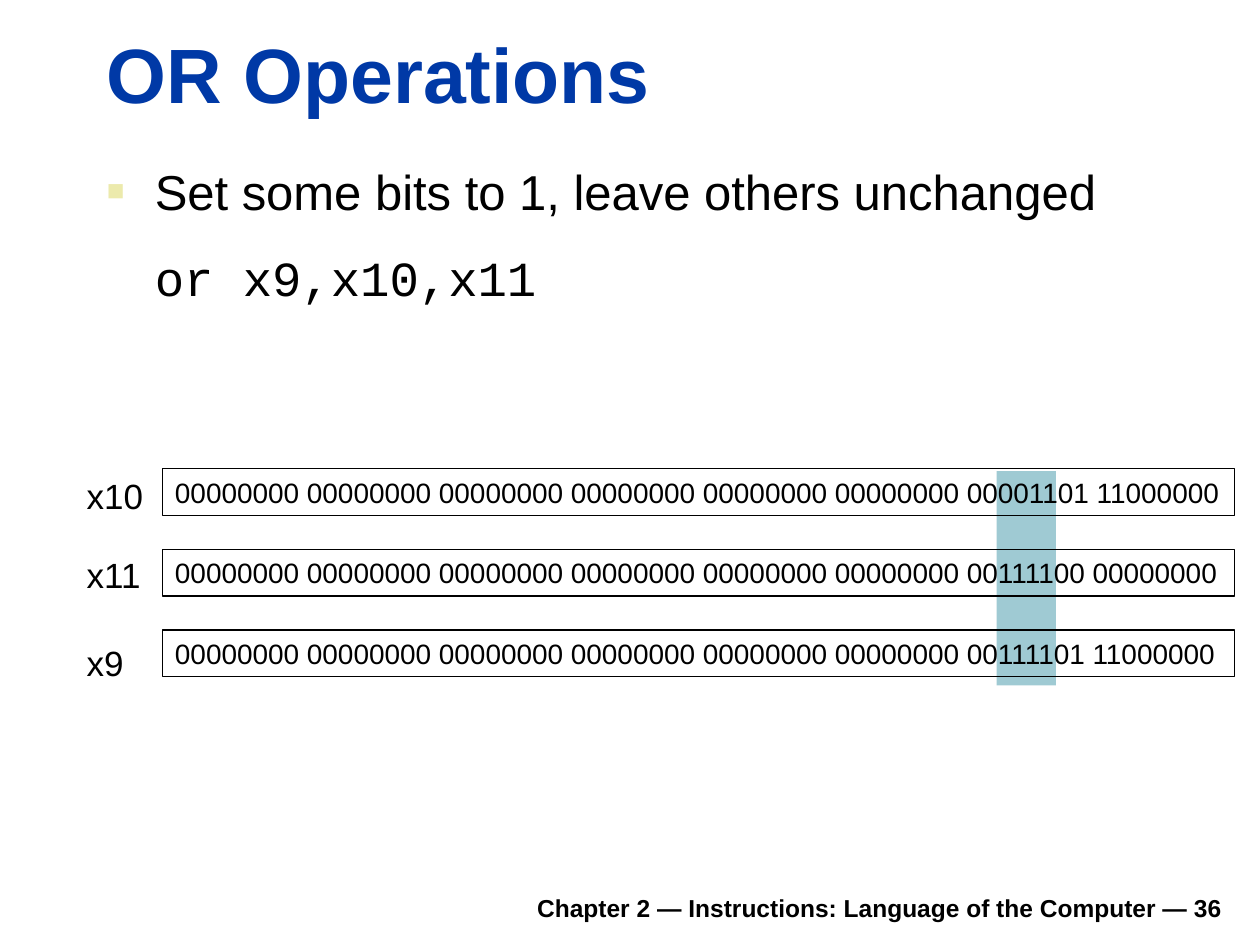
from dataclasses import dataclass

from lxml import etree
from pptx import Presentation
from pptx import util as u
from pptx.dml.color import RGBColor
from pptx.enum import shapes, text
from pptx.oxml.ns import qn


@dataclass(frozen=True)
class Theme:
    ink: str = "000000"
    blue: str = "0039A6"
    teal: str = "9FCAD3"
    sand: str = "ECEAAC"
    sans: str = "Arial"
    mono: str = "Courier New"
    head: int = 44
    body: int = 28
    label: int = 20
    bits: int = 16
    foot: int = 14


def put(para, words, size, color, face, bold=False, align=None, before=0):
    """Write words into a paragraph with the given format."""
    para.text = words
    font = para.font
    font.size, font.name, font.bold = u.Pt(size), face, bold
    font.color.rgb = RGBColor.from_string(color)
    para.alignment = align or text.PP_ALIGN.LEFT
    if before:
        para.space_before = u.Pt(before)


def indent(para, left, first=0.0, mark=None, color=None):
    """Set the indents and, when a mark is given, the bullet."""
    props = para._p.get_or_add_pPr()
    props.set("marL", str(u.Inches(left)))
    props.set("indent", str(u.Inches(first)))
    if mark:
        tint = etree.SubElement(props, qn("a:buClr"))
        etree.SubElement(tint, qn("a:srgbClr"), val=color)
        etree.SubElement(props, qn("a:buSzPct"), val="60000")
        etree.SubElement(props, qn("a:buFont"), typeface="Arial")
        etree.SubElement(props, qn("a:buChar"), char=mark)


class Page:
    def __init__(self, slide, theme):
        self.slide, self.theme = slide, theme

    def box(self, x, y, w, h, anchor=text.MSO_ANCHOR.TOP):
        area = self.slide.shapes.add_textbox(*map(u.Inches, (x, y, w, h)))
        frame = area.text_frame
        frame.word_wrap = True
        frame.vertical_anchor = anchor
        return frame

    def line(self, words, x, y, w, h, size, color=None, **form):
        frame = self.box(x, y, w, h, form.pop("anchor", text.MSO_ANCHOR.TOP))
        put(frame.paragraphs[0], words, size, color or self.theme.ink,
            self.theme.sans, **form)

    def rect(self, x, y, w, h, fill=None, edge=None):
        shape = self.slide.shapes.add_shape(
            shapes.MSO_SHAPE.RECTANGLE, *map(u.Inches, (x, y, w, h)))
        shape.shadow.inherit = False
        if fill:
            shape.fill.solid()
            shape.fill.fore_color.rgb = RGBColor.from_string(fill)
        else:
            shape.fill.background()
        if edge:
            shape.line.color.rgb = RGBColor.from_string(edge)
            shape.line.width = u.Pt(0.75)
        else:
            shape.line.fill.background()
        return shape

    def word(self, bits, x, y, w, h):
        """Draw a register's bits in a frame."""
        frame = self.rect(x, y, w, h, edge=self.theme.ink).text_frame
        frame.word_wrap = True
        frame.margin_right = u.Inches(0.05)
        put(frame.paragraphs[0], bits, self.theme.bits, self.theme.ink,
            self.theme.sans)


def main():
    deck = Presentation()
    deck.slide_width, deck.slide_height = u.Inches(10), u.Inches(7.5)
    look = Theme()
    page = Page(deck.slides.add_slide(deck.slide_layouts[6]), look)
    low = text.MSO_ANCHOR.BOTTOM

    # Footer
    page.line("Chapter 2 — Instructions: Language of the Computer — 36",
              1.85, 6.98, 7.95, 0.39, look.foot, bold=True,
              align=text.PP_ALIGN.RIGHT, anchor=low)

    # Band behind the bits that change
    page.rect(7.91, 3.74, 0.47, 1.7, fill=look.teal)

    # Title
    page.line("OR Operations", 0.75, 0.16, 9.03, 0.83, look.head, look.blue,
              bold=True, anchor=low)

    # Rule and instruction
    frame = page.box(0.75, 1.23, 9.05, 2.27)
    rule, code = frame.paragraphs[0], frame.add_paragraph()
    indent(rule, 0.38, -0.38, "■", look.sand)
    indent(code, 0.38)
    put(rule, "Set some bits to 1, leave others unchanged",
        look.body, look.ink, look.sans)
    put(code, "or x9,x10,x11", look.body, look.ink, look.mono, before=16)

    # Registers: name, top of its label, last two bytes
    zeros = "00000000 " * 6
    rows = [("x10", 3.72, "00001101 11000000"),
            ("x11", 4.34, "00111100 00000000"),
            ("x9", 5.04, "00111101 11000000")]
    for i, (name, top, tail) in enumerate(rows):
        page.line(name, 0.59, top, 0.7, 0.44, look.label)
        page.word(zeros + tail, 1.29, 3.72 + 0.64 * i, 8.51, 0.37)

    deck.save("out.pptx")


if __name__ == "__main__":
    main()
